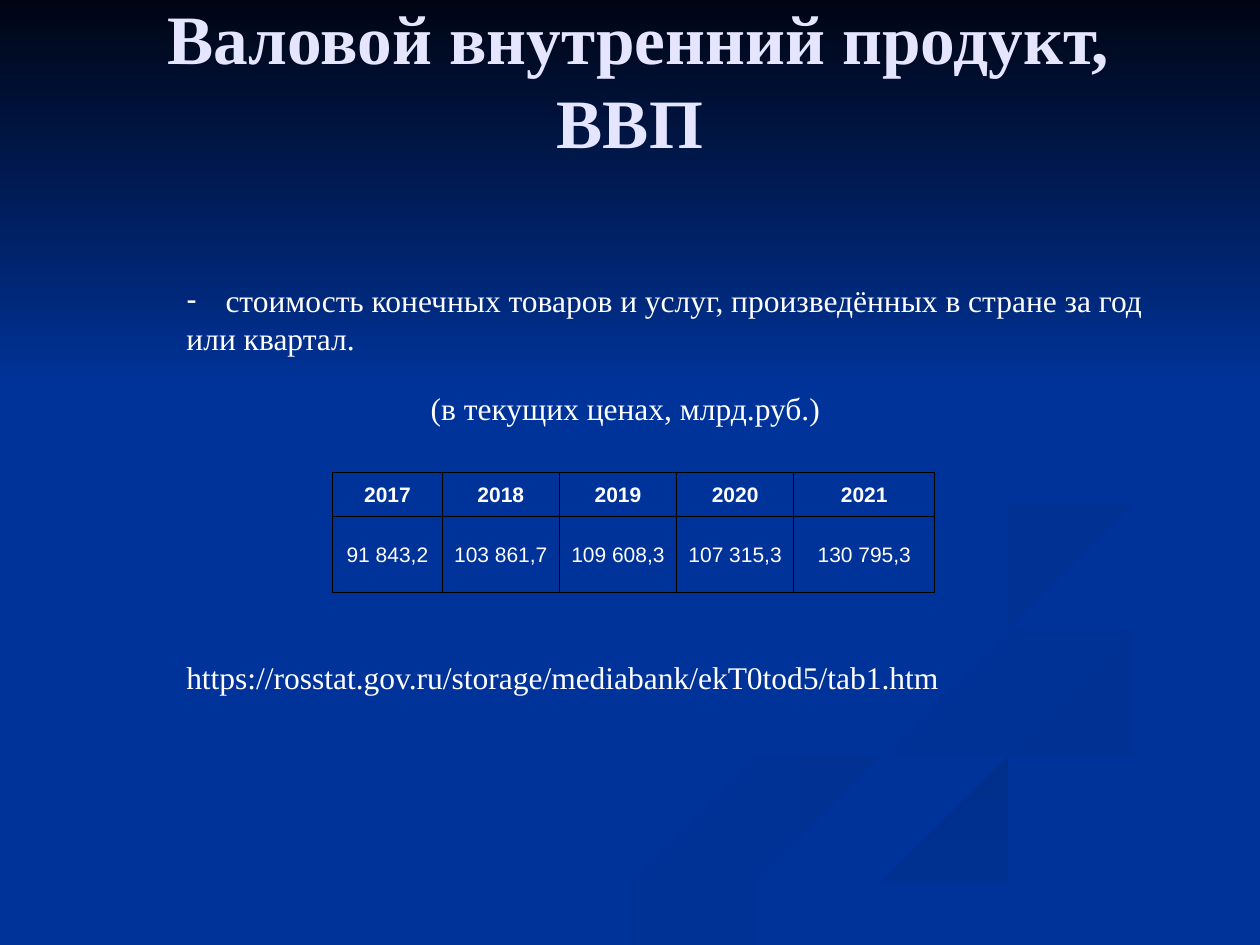
"""Build a slide that defines gross domestic product and tabulates it by year."""
from dataclasses import dataclass

from lxml import etree
from pptx import Presentation
from pptx.dml.color import RGBColor
from pptx.enum.shapes import MSO_SHAPE
from pptx.enum.text import MSO_ANCHOR, MSO_AUTO_SIZE, PP_ALIGN
from pptx.oxml.ns import qn
from pptx.util import Inches, Pt

BLUE = RGBColor(0x00, 0x33, 0x99)
DEEP_BLUE = RGBColor(0x00, 0x31, 0x93)
DARK_BLUE = RGBColor(0x00, 0x2F, 0x8C)
NIGHT = RGBColor(0x00, 0x05, 0x14)
LAVENDER = RGBColor(0xE5, 0xE5, 0xFF)
WHITE = RGBColor(0xFF, 0xFF, 0xFF)
BLACK = RGBColor(0x00, 0x00, 0x00)
RECTANGLE = MSO_SHAPE.RECTANGLE
CENTER = PP_ALIGN.CENTER
MIDDLE = MSO_ANCHOR.MIDDLE
TOP = MSO_ANCHOR.TOP
NO_FIT = MSO_AUTO_SIZE.NONE
SERIF = "Times New Roman"
SANS = "Arial"
WIDTH, HEIGHT = 10, 7.5
CURVE_STEPS = 5

Point = tuple[float, float]


@dataclass
class Ribbon:
    knots: list[Point]
    start: RGBColor
    end: RGBColor
    angle: int


@dataclass
class Caption:
    text: str
    left: float
    top: float
    width: float
    wrap: bool


@dataclass
class YearColumn:
    year: str
    value: str
    width: float


RIBBONS = [
    Ribbon([(3, 7.5), (4.6, 6.74), (7.3, 6), (7.86, 5.66), (7.4, 5.39), (6.3, 5.05),
            (5.7, 4.65), (6.4, 5.07), (7.6, 5.43), (8, 5.81), (7.2, 6.23), (5.3, 6.74),
            (3.6, 7.5)], BLUE, DEEP_BLUE, 0),
    Ribbon([(7.24, 4.64), (7.6, 4.98), (8.7, 5.3), (9.43, 5.7), (8.94, 6.04),
            (9.18, 5.81), (8.7, 5.44), (7.55, 5.05)], BLUE, DEEP_BLUE, 45),
    Ribbon([(5.03, 7.5), (6.3, 6.93), (7.6, 6.47), (10, 5.81), (10, 6.09),
            (7.85, 6.61), (5.7, 7.5)], DARK_BLUE, BLUE, 90),
    Ribbon([(10, 4.02), (8.35, 4.3), (7.81, 4.6), (8.26, 4.96), (8.05, 4.72),
            (8.8, 4.39), (10, 4.2)], DEEP_BLUE, BLUE, 45),
    Ribbon([(7.62, 2.33), (8.64, 2.91), (8.94, 3.44), (8.4, 3.96), (6.83, 4.3),
            (5.93, 4.7), (6.22, 5), (5.77, 4.62), (6.5, 4.2), (8.2, 3.86),
            (8.89, 3.35), (8.46, 2.79)], DARK_BLUE, BLUE, 45),
]
CAPTIONS = [
    Caption("(в текущих ценах, млрд.руб.)", 3.32, 3.04, 3.36, False),
    Caption("https://rosstat.gov.ru/storage/mediabank/ekT0tod5/tab1.htm",
            1.38, 5.17, 7.01, True),
]
COLUMNS = [
    YearColumn("2017", "91 843,2", 0.87),
    YearColumn("2018", "103 861,7", 0.93),
    YearColumn("2019", "109 608,3", 0.93),
    YearColumn("2020", "107 315,3", 0.93),
    YearColumn("2021", "130 795,3", 1.12),
]
ROW_HEIGHTS = [0.35, 0.6]
DEFINITION = [
    "стоимость конечных товаров и услуг, произведённых в стране за год",
    "или квартал.",
]


def style_paragraph(para, size: float, color: RGBColor, name: str = SERIF, bold: bool = False) -> None:
    """Set the font of a whole paragraph."""
    font = para.font
    font.size, font.name, font.bold = Pt(size), name, bold
    font.color.rgb = color


def place(box, left: float, top: float, width: float, height: float) -> None:
    """Move and size a placeholder in inches."""
    box.left, box.top = Inches(left), Inches(top)
    box.width, box.height = Inches(width), Inches(height)


def blend(a: float, b: float, c: float, d: float, t: float) -> float:
    """Return the Catmull-Rom value between b and c."""
    return b + t / 2 * (c - a + t * (2 * a - 5 * b + 4 * c - d + t * (3 * (b - c) + d - a)))


def smooth_outline(knots: list[Point]) -> list[Point]:
    """Curve a closed outline through its knots, kept on the page."""
    outline = []
    for index in range(len(knots)):
        xs, ys = zip(*(knots[(index + shift) % len(knots)] for shift in (-1, 0, 1, 2)))
        for step in range(CURVE_STEPS):
            t = step / CURVE_STEPS
            outline.append((min(blend(*xs, t), WIDTH), min(blend(*ys, t), HEIGHT)))
    return outline


def paint(shape, start: RGBColor, end: RGBColor, angle: int) -> None:
    """Fill a shape with a clockwise linear gradient and no outline."""
    shape.shadow.inherit = False
    shape.line.fill.background()
    shape.fill.gradient()
    shape.fill.gradient_angle = -angle % 360
    for stop, color in zip(shape.fill.gradient_stops, (start, end)):
        stop.color.rgb = color


def draw_ribbon(page, ribbon: Ribbon) -> None:
    """Draw one curved ribbon."""
    first, *rest = smooth_outline(ribbon.knots)
    builder = page.shapes.build_freeform(*first, scale=Inches(1))
    builder.add_line_segments(rest, close=True)
    paint(builder.convert_to_shape(), ribbon.start, ribbon.end, ribbon.angle)


def draw_caption(page, caption: Caption) -> None:
    """Add a one-line text box."""
    box = page.shapes.add_textbox(Inches(caption.left), Inches(caption.top),
                                  Inches(caption.width), Inches(0.4))
    box.text_frame.word_wrap = caption.wrap
    box.text_frame.text = caption.text
    style_paragraph(box.text_frame.paragraphs[0], 18, WHITE)


def add_borders(cell) -> None:
    """Give a cell thin black borders, placed ahead of its fill."""
    properties = cell._tc.get_or_add_tcPr()
    for index, side in enumerate(("lnL", "lnR", "lnT", "lnB")):
        line = etree.Element(qn(f"a:{side}"), w=str(Pt(0.5)))
        fill = etree.SubElement(line, qn("a:solidFill"))
        etree.SubElement(fill, qn("a:srgbClr"), val=str(BLACK))
        properties.insert(index, line)


def draw_table(page, columns: list[YearColumn]) -> None:
    """Add the table with years above values."""
    width = sum(column.width for column in columns)
    table = page.shapes.add_table(2, len(columns), Inches(2.64), Inches(3.75),
                                  Inches(width), Inches(sum(ROW_HEIGHTS))).table
    table.first_row = table.horz_banding = False
    for row, height in zip(table.rows, ROW_HEIGHTS):
        row.height = Inches(height)
    for column_index, column in enumerate(columns):
        table.columns[column_index].width = Inches(column.width)
        for row_index, text in enumerate((column.year, column.value)):
            cell = table.cell(row_index, column_index)
            cell.text = text
            cell.fill.background()
            cell.vertical_anchor = MIDDLE
            cell.margin_left = cell.margin_right = cell.margin_top = Inches(0.01)
            cell.margin_bottom = 0
            para = cell.text_frame.paragraphs[0]
            para.alignment = CENTER
            style_paragraph(para, 12, WHITE, SANS, row_index == 0)
            add_borders(cell)


def fill_title(title) -> None:
    """Write the heading."""
    place(title, 0.5, 0, 9, 1.25)
    frame = title.text_frame
    frame.text = " Валовой внутренний продукт, ВВП"
    frame.auto_size, frame.vertical_anchor = NO_FIT, MIDDLE
    frame.paragraphs[0].alignment = CENTER
    style_paragraph(frame.paragraphs[0], 39.6, LAVENDER, bold=True)


def fill_definition(body) -> None:
    """Write the definition with a dash before its first line."""
    place(body, 1.38, 2.18, 7.95, 0.71)
    frame = body.text_frame
    frame.text = "\n".join(DEFINITION)
    frame.auto_size, frame.vertical_anchor = NO_FIT, TOP
    frame.word_wrap = False
    marks = (etree.Element(qn("a:buChar"), char="-"), etree.Element(qn("a:buNone")))
    for para, indent, mark in zip(frame.paragraphs, (0.31, 0), marks):
        para.space_before = Pt(0)
        style_paragraph(para, 18, WHITE)
        properties = para._p.get_or_add_pPr()
        properties.set("marL", str(Inches(indent)))
        properties.set("indent", str(-Inches(indent)))
        properties.find(qn("a:defRPr")).addprevious(mark)


def main() -> None:
    """Assemble and save the slide."""
    deck = Presentation()
    deck.slide_width, deck.slide_height = Inches(WIDTH), Inches(HEIGHT)
    page = deck.slides.add_slide(deck.slide_layouts[1])
    page.background.fill.solid()
    page.background.fill.fore_color.rgb = BLUE
    title, body = page.placeholders
    for ribbon in RIBBONS:
        draw_ribbon(page, ribbon)
    sky = page.shapes.add_shape(RECTANGLE, 0, 0, Inches(WIDTH), Inches(3.08))
    paint(sky, NIGHT, BLUE, 90)
    page.shapes._spTree.append(title._element)
    fill_title(title)
    draw_table(page, COLUMNS)
    for caption in CAPTIONS:
        draw_caption(page, caption)
    page.shapes._spTree.append(body._element)
    fill_definition(body)
    deck.save("out.pptx")


if __name__ == "__main__":
    main()
